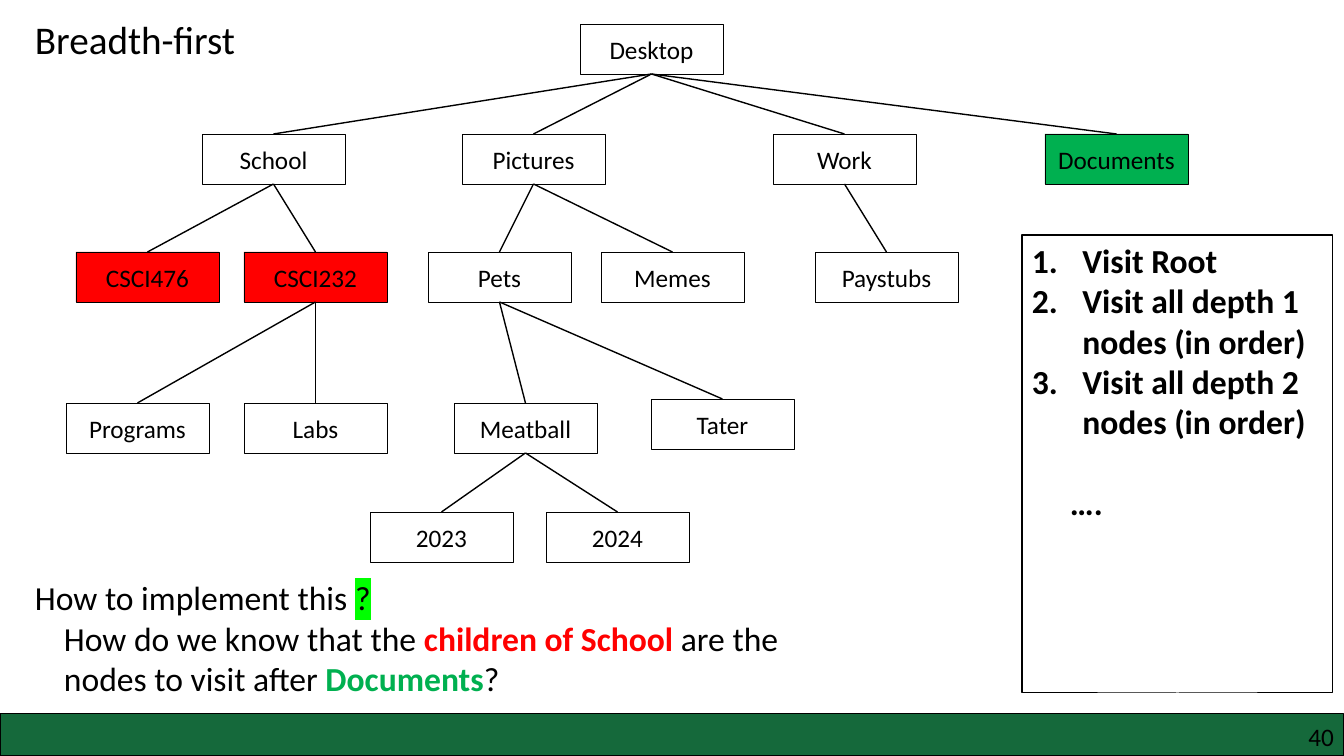
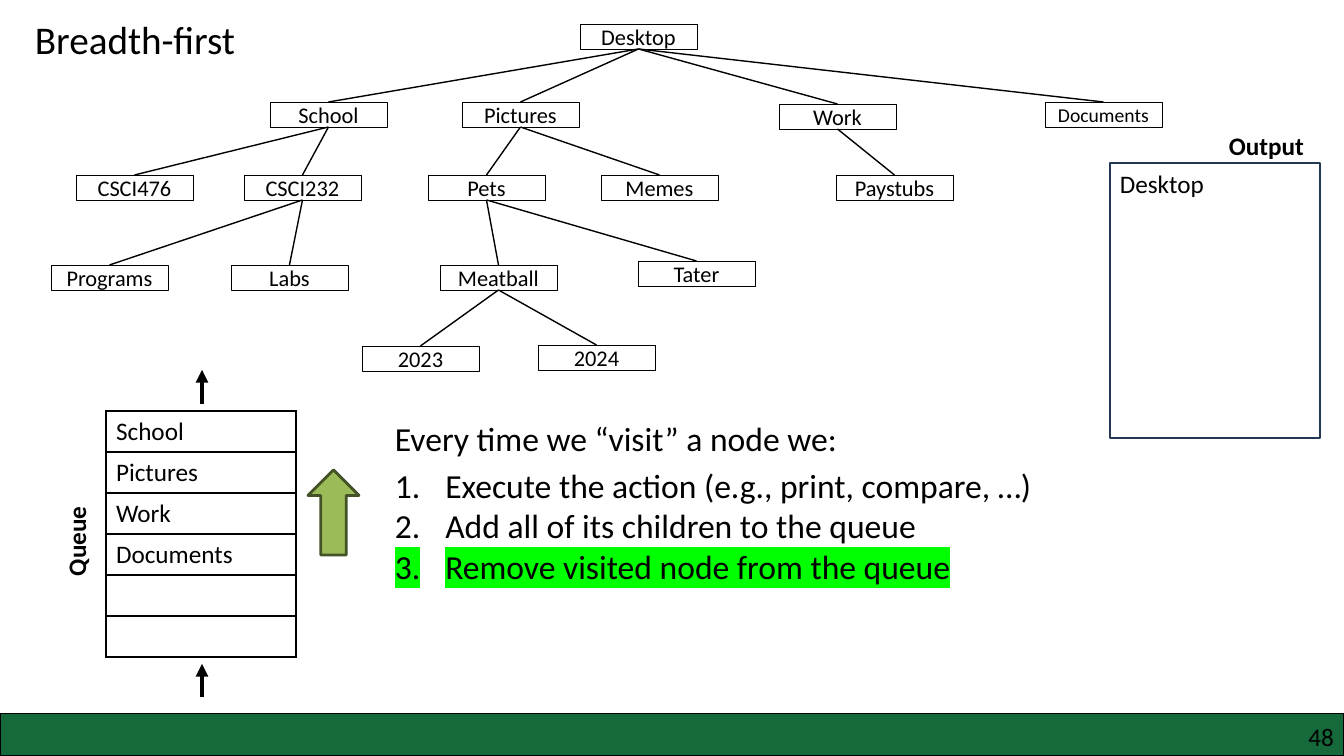
from lxml import etree
from pptx import Presentation
from pptx.dml.color import RGBColor
from pptx.enum.shapes import MSO_CONNECTOR, MSO_SHAPE
from pptx.enum.text import MSO_ANCHOR, PP_ALIGN
from pptx.oxml.ns import qn
from pptx.util import Pt

RECTANGLE, UP_ARROW = MSO_SHAPE.RECTANGLE, MSO_SHAPE.UP_ARROW
STRAIGHT = MSO_CONNECTOR.STRAIGHT
TOP, MIDDLE = MSO_ANCHOR.TOP, MSO_ANCHOR.MIDDLE
LEFT, CENTER, RIGHT = PP_ALIGN.LEFT, PP_ALIGN.CENTER, PP_ALIGN.RIGHT
TOP_SITE, BOTTOM_SITE = 0, 2
PX = 914400 / 100.8
WIDTH, HEIGHT = 1344, 756


class Theme:
    font = "Calibri"
    black = "000000"
    white = "FFFFFF"
    band = "15693B"
    green = "00B050"
    red = "FF0000"
    marker = "00FF00"
    navy = "233953"
    arrow = "9BBB59"
    arrow_edge = "445227"
    title = 28
    body = 24
    label = 18
    small = 16
    tiny = 14


def write(frame, text, size=Theme.label, color=Theme.black, bold=False, highlight=None,
          align=LEFT, numbered=False, indent=0, before=0):
    para = frame.paragraphs[0]
    if para.runs:
        para = frame.add_paragraph()
    para.alignment = align
    properties = para._p.get_or_add_pPr()
    if numbered:
        properties.set("marL", "457200")
        properties.set("indent", "-457200")
        etree.SubElement(properties, qn("a:buAutoNum"), type="arabicPeriod")
    elif indent:
        properties.set("marL", str(round(indent * PX)))
    if before:
        para.space_before = Pt(before)
    spans = [(text, {})] if isinstance(text, str) else text
    for words, changes in spans:
        style = {"color": color, "bold": bold, "highlight": highlight, **changes}
        span = para.add_run()
        span.text = words
        span.font.size = Pt(size)
        span.font.bold = style["bold"]
        span.font.color.rgb = RGBColor.from_string(style["color"])
        if style["highlight"]:
            mark = etree.SubElement(span._r.get_or_add_rPr(), qn("a:highlight"))
            etree.SubElement(mark, qn("a:srgbClr"), val=style["highlight"])
        span.font.name = Theme.font


def add_box(page, area, kind=RECTANGLE, fill=None, line=None, weight=0.75, anchor=TOP):
    box = page.shapes.add_shape(kind, *(round(value * PX) for value in area))
    box.shadow.inherit = False
    if fill:
        box.fill.solid()
        box.fill.fore_color.rgb = RGBColor.from_string(fill)
    else:
        box.fill.background()
    if line:
        box.line.color.rgb = RGBColor.from_string(line)
        box.line.width = Pt(weight)
    else:
        box.line.fill.background()
    box.text_frame.word_wrap = True
    box.text_frame.vertical_anchor = anchor
    return box


PARENTS = {
    "School": "Desktop", "Pictures": "Desktop", "Work": "Desktop", "Documents": "Desktop",
    "CSCI476": "School", "CSCI232": "School", "Pets": "Pictures", "Memes": "Pictures",
    "Paystubs": "Work", "Programs": "CSCI232", "Labs": "CSCI232", "Meatball": "Pets",
    "Tater": "Pets", "2023": "Meatball", "2024": "Meatball",
}
TREES = [
    {
        "number": "40", "node": (143, 50), "size": Theme.label, "sizes": {},
        "fills": {"Documents": Theme.green, "CSCI476": Theme.red, "CSCI232": Theme.red},
        "places": {
            "Desktop": (580, 24), "School": (202, 134), "Pictures": (462, 134),
            "Work": (773, 134), "Documents": (1045, 134), "CSCI476": (76, 252),
            "CSCI232": (244, 252), "Pets": (428, 252), "Memes": (601, 252),
            "Paystubs": (815, 252), "Programs": (66, 403), "Labs": (244, 403),
            "Meatball": (454, 403), "Tater": (651, 399), "2023": (370, 512), "2024": (546, 512),
        },
    },
    {
        "number": "48", "node": (117, 25), "size": Theme.small,
        "sizes": {"Documents": Theme.tiny}, "fills": {},
        "places": {
            "Desktop": (580, 24), "School": (270, 102), "Pictures": (462, 102),
            "Work": (779, 104), "Documents": (1045, 102), "CSCI476": (76, 175),
            "CSCI232": (244, 175), "Pets": (428, 175), "Memes": (601, 175),
            "Paystubs": (836, 175), "Programs": (51, 265), "Labs": (231, 265),
            "Meatball": (440, 265), "Tater": (638, 261), "2023": (362, 346), "2024": (538, 345),
        },
    },
]

deck = Presentation()
deck.slide_width, deck.slide_height = round(WIDTH * PX), round(HEIGHT * PX)
pages, connectors = [], []

for tree in TREES:
    page = deck.slides.add_slide(deck.slide_layouts[6])
    pages.append(page)
    add_box(page, (0, 714, WIDTH, 42), fill=Theme.band, line=Theme.black)
    number = add_box(page, (1015, 716, 329, 40))
    write(number.text_frame, tree["number"], align=RIGHT)
    title = add_box(page, (25, 10, 260, 57))
    write(title.text_frame, "Breadth-first", size=Theme.title)

    nodes = {}
    for name, place in tree["places"].items():
        nodes[name] = add_box(page, place + tree["node"], fill=tree["fills"].get(name, Theme.white),
                              line=Theme.black, weight=0.5, anchor=MIDDLE)
        write(nodes[name].text_frame, name, size=tree["sizes"].get(name, tree["size"]),
              align=CENTER)
    for child, parent in PARENTS.items():
        edge = page.shapes.add_connector(STRAIGHT, 0, 0, 0, 0)
        edge.begin_connect(nodes[parent], BOTTOM_SITE)
        edge.end_connect(nodes[child], TOP_SITE)
        edge.line.width = Pt(1)
        connectors.append(edge)

order_page, queue_page = pages

steps = add_box(order_page, (1022, 235, 311, 458), line=Theme.black).text_frame
for step in ["Visit Root", "Visit all depth 1 nodes (in order)",
             "Visit all depth 2 nodes (in order)"]:
    write(steps, step, size=Theme.body, bold=True, numbered=True)
write(steps, "….", size=Theme.body, bold=True, indent=38, before=29)

question = add_box(order_page, (25, 572, 420, 50))
write(question.text_frame, [("How to implement this ", {}), ("?", {"highlight": Theme.marker})],
      size=Theme.body)
hint = add_box(order_page, (54, 613, 735, 92))
write(hint.text_frame, [
    ("How do we know that the ", {}),
    ("children of School ", {"color": Theme.red, "bold": True}),
    ("are the nodes to visit after ", {}),
    ("Documents", {"color": Theme.green, "bold": True}),
    ("?", {}),
], size=Theme.body)

queue = ["School", "Pictures", "Work", "Documents", "", ""]
row_height = 41
table = queue_page.shapes.add_table(
    len(queue), 1, *(round(value * PX) for value in (106, 411, 190, row_height * len(queue)))).table
table.first_row = table.horz_banding = False
for row, entry in enumerate(queue):
    table.rows[row].height = round(row_height * PX)
    cell = table.cell(row, 0)
    properties = cell._tc.get_or_add_tcPr()
    for side in ("a:lnL", "a:lnR", "a:lnT", "a:lnB"):
        border = etree.SubElement(properties, qn(side), w="12700")
        paint = etree.SubElement(border, qn("a:solidFill"))
        etree.SubElement(paint, qn("a:srgbClr"), val=Theme.black)
    cell.fill.background()
    if entry:
        write(cell.text_frame, entry)

queue_label = add_box(queue_page, (26, 516, 100, 40))
queue_label.rotation = 270
write(queue_label.text_frame, "Queue", bold=True)

for start, end in [(697, 664), (404, 370)]:
    flow = queue_page.shapes.add_connector(
        STRAIGHT, *(round(value * PX) for value in (202, start, 202, end)))
    flow.line.width = Pt(3)
    etree.SubElement(flow.line._get_or_add_ln(), qn("a:tailEnd"), type="triangle")
    connectors.append(flow)

add_box(queue_page, (308, 470, 51, 85), kind=UP_ARROW, fill=Theme.arrow,
        line=Theme.arrow_edge, weight=2)

intro = add_box(queue_page, (385, 413, 520, 50))
write(intro.text_frame, "Every time we “visit” a node we:", size=Theme.body)
actions = add_box(queue_page, (385, 460, 728, 132)).text_frame
for action, highlight in [("Execute the action (e.g., print, compare, …)", None),
                          ("Add all of its children to the queue", None),
                          ("Remove visited node from the queue", Theme.marker)]:
    write(actions, action, size=Theme.body, numbered=True, highlight=highlight)

output = add_box(queue_page, (1110, 163, 210, 275), line=Theme.navy, weight=2)
write(output.text_frame, "Desktop")
output_label = add_box(queue_page, (1219, 125, 104, 40))
write(output_label.text_frame, "Output", bold=True)

for connector in connectors:
    connector.line.color.rgb = RGBColor.from_string(Theme.black)
    etree.SubElement(connector._element.spPr, qn("a:effectLst"))

deck.save("out.pptx")
